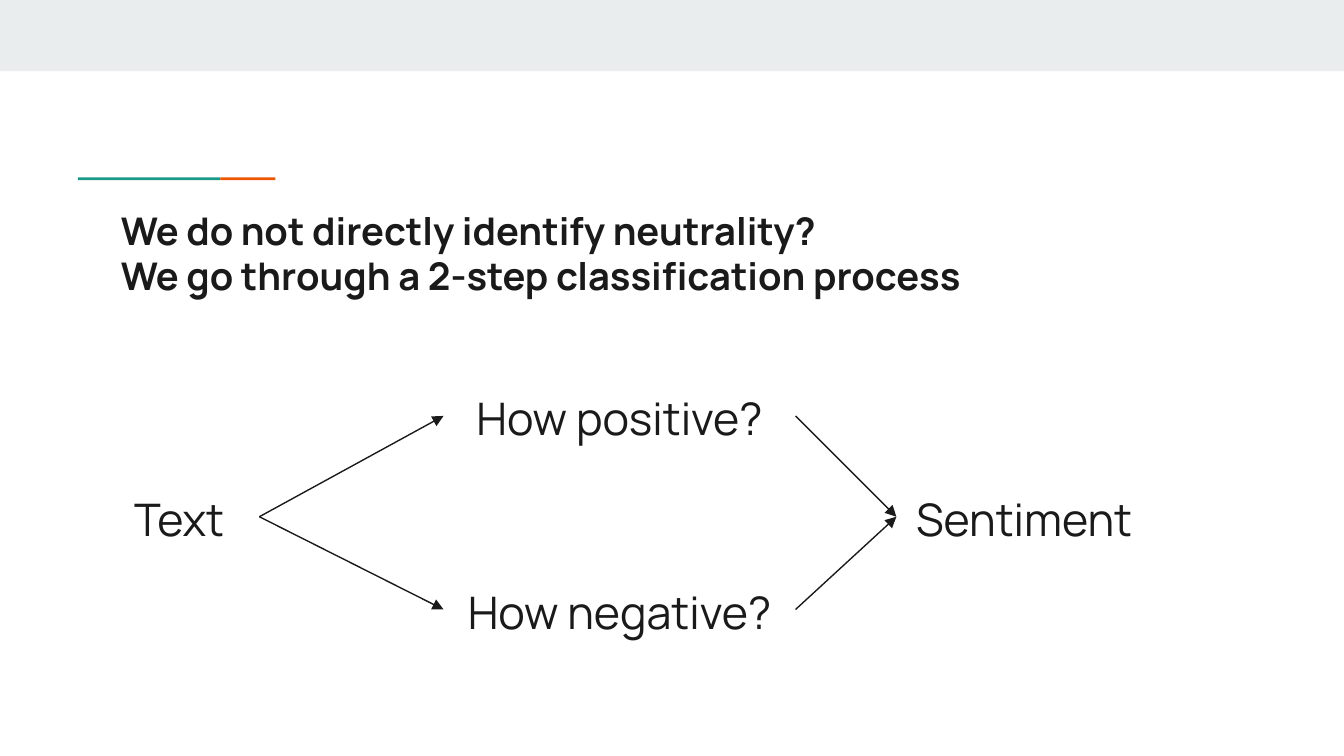
import pptx
import pptx.util
import pptx.dml.color
import pptx.enum.shapes
import pptx.enum.text
import pptx.oxml.ns
from lxml import etree
from pptx.util import Inches

COLORS = {"band": "E9EDEE", "teal": "1A9988", "orange": "EB5600", "ink": "1A1A1A"}
FONT = "Manrope"
HEADING = [
    "We do not directly identify neutrality?",
    "We go through a 2-step classification process",
]
BARS = [
    ("band", 0, 0, 10, 0.53),
    ("teal", 0.58, 1.32, 1.06, 0.02),
    ("orange", 1.64, 1.32, 0.41, 0.02),
]
STEP_HEIGHT = 0.57
STEPS = {
    "Text": (0.9, 3.56, 1.03, "LEFT"),
    "How positive?": (3.3, 2.81, 2.62, "CENTER"),
    "How negative?": (3.3, 4.25, 2.62, "CENTER"),
    "Sentiment": (6.67, 3.56, 1.9, "CENTER"),
}
FLOWS = [
    ("Text", "How positive?"),
    ("Text", "How negative?"),
    ("How positive?", "Sentiment"),
    ("How negative?", "Sentiment"),
]
RIGHT_SIDE, LEFT_SIDE = 3, 1


def color(key):
    return pptx.dml.color.RGBColor.from_string(COLORS[key])


def write(shape, lines, size, align="LEFT", bold=False):
    frame = shape.text_frame
    frame.word_wrap = True
    frame.auto_size = pptx.enum.text.MSO_AUTO_SIZE.NONE
    frame.vertical_anchor = pptx.enum.text.MSO_ANCHOR.TOP
    frame.margin_left = frame.margin_right = Inches(0.1)
    frame.margin_top = frame.margin_bottom = Inches(0.1)
    for index, line in enumerate(lines):
        paragraph = frame.add_paragraph() if index else frame.paragraphs[0]
        paragraph.alignment = pptx.enum.text.PP_ALIGN[align]
        paragraph.line_spacing = 1.0
        paragraph.space_before = pptx.util.Pt(0)
        run = paragraph.add_run()
        run.text = line
        run.font.name = FONT
        run.font.size = pptx.util.Pt(size)
        run.font.bold = bold
        run.font.color.rgb = color("ink")


def add_bar(slide, fill, *box):
    bar = slide.shapes.add_shape(
        pptx.enum.shapes.MSO_SHAPE.RECTANGLE, *map(Inches, box))
    bar.shadow.inherit = False
    bar.fill.solid()
    bar.fill.fore_color.rgb = color(fill)
    bar.line.fill.background()


def add_arrow(slide, source, target):
    arrow = slide.shapes.add_connector(
        pptx.enum.shapes.MSO_CONNECTOR.STRAIGHT, 0, 0, 0, 0)
    arrow.begin_connect(source, RIGHT_SIDE)
    arrow.end_connect(target, LEFT_SIDE)
    arrow.line.color.rgb = color("ink")
    arrow.line.width = pptx.util.Pt(0.75)
    qn = pptx.oxml.ns.qn
    outline = arrow._element.spPr.find(qn("a:ln"))
    etree.SubElement(outline, qn("a:tailEnd"), type="triangle")
    etree.SubElement(arrow._element.spPr, qn("a:effectLst"))


def main():
    deck = pptx.Presentation()
    deck.slide_width = Inches(10)
    deck.slide_height = deck.slide_width * 9 // 16
    slide = deck.slides.add_slide(deck.slide_layouts[5])

    for bar in BARS:
        add_bar(slide, *bar)

    heading = slide.shapes.title
    heading.left, heading.top = Inches(0.8), Inches(1.44)
    heading.width, heading.height = Inches(8.41), Inches(0.94)
    write(heading, HEADING, 20.4, bold=True)

    steps = {}
    for label, (left, top, width, align) in STEPS.items():
        steps[label] = slide.shapes.add_textbox(
            *map(Inches, (left, top, width, STEP_HEIGHT)))
        write(steps[label], [label], 24, align)

    for source, target in FLOWS:
        add_arrow(slide, steps[source], steps[target])

    deck.save("out.pptx")


if __name__ == "__main__":
    main()
